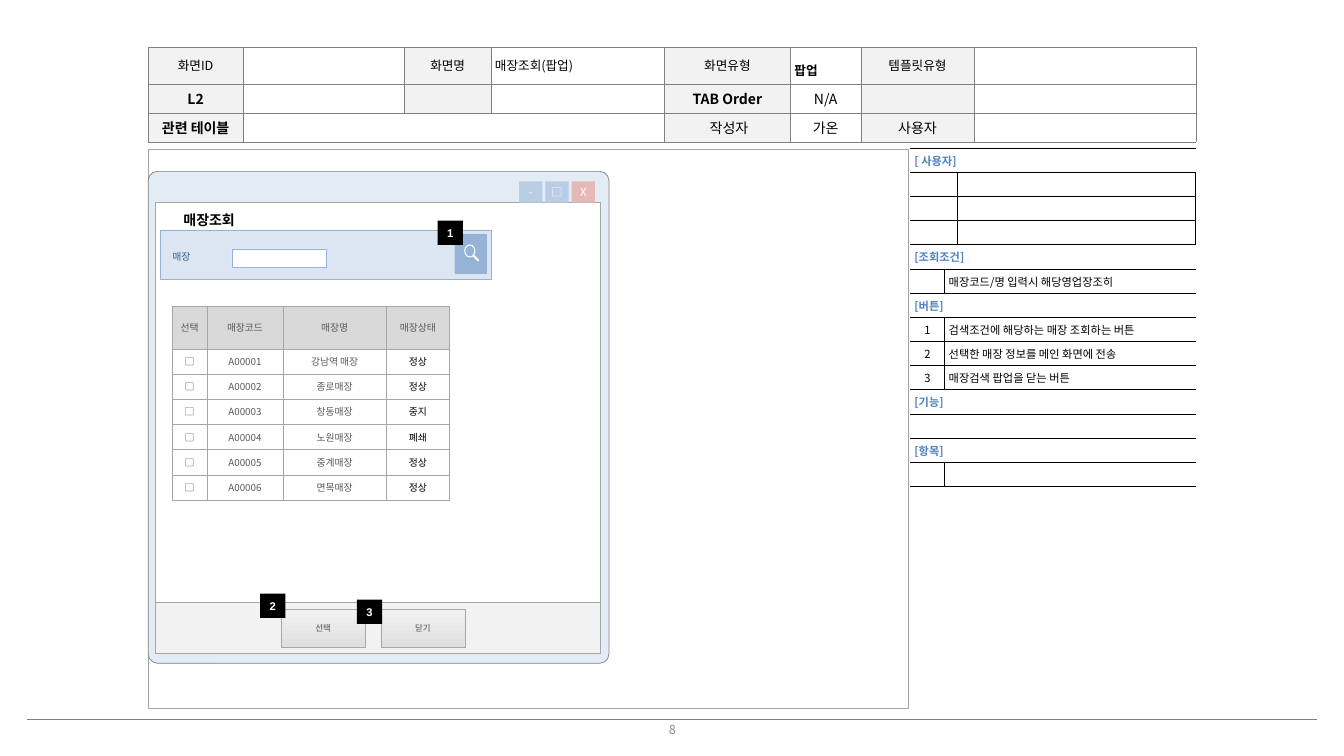
import dataclasses

import pptx
import pptx.dml.color
import pptx.enum.shapes
import pptx.enum.text
import pptx.oxml.ns
import pptx.util
from lxml import etree
from pptx.util import Inches

SHAPES = pptx.enum.shapes.MSO_SHAPE
CENTER = pptx.enum.text.PP_ALIGN.CENTER
LEFT = pptx.enum.text.PP_ALIGN.LEFT
MIDDLE = pptx.enum.text.MSO_ANCHOR.MIDDLE
TOP = pptx.enum.text.MSO_ANCHOR.TOP
PLAIN_TABLE = "{2D5ABB26-0587-4C30-8999-92F81FD0307C}"


@dataclasses.dataclass(frozen=True)
class Theme:
    """Colours, fonts and type sizes of the screen specification."""
    font: str = "Noto Sans CJK KR"
    marker_font: str = "Arial"
    black: str = "000000"
    white: str = "FFFFFF"
    label: str = "F2F2F2"
    frame: str = "808080"
    edge: str = "A6A6A6"
    rule: str = "4F8ABE"
    page: str = "8C8C8C"
    section: str = "4F81BD"
    window: str = "E3EBF5"
    close: str = "E6B9B8"
    control: str = "B9CDE5"
    search: str = "DCE6F2"
    search_edge: str = "95B3D7"
    search_text: str = "376092"
    list_head: str = "D9D9D9"
    list_text: str = "595959"
    shade: str = "DFDFDF"
    large: float = 10
    normal: float = 9
    small: float = 8
    list_size: float = 7
    button: float = 6
    hairline: float = 0.25


THEME = Theme()


def rgb(value):
    """Turn a hex string into a colour."""
    return pptx.dml.color.RGBColor.from_string(value)


def apply(target, formats):
    """Set each named format value on the target."""
    for name, value in formats.items():
        setattr(target, name, value)


def write(frame, text, size, color, bold=False, font=THEME.font, **paragraph_formats):
    """Write one formatted line into a text frame."""
    line = frame.paragraphs[0]
    apply(line, paragraph_formats)
    run = line.add_run()
    apply(run, {"text": text})
    apply(run.font, {"size": pptx.util.Pt(size), "bold": bold, "name": font})
    run.font.color.rgb = rgb(color)
    east_asian = etree.SubElement(run.font._element, pptx.oxml.ns.qn("a:ea"))
    east_asian.set("typeface", font)


def margins(side, end):
    """Give the four margins of a frame or cell."""
    return {"margin_left": Inches(side), "margin_right": Inches(side),
            "margin_top": Inches(end), "margin_bottom": Inches(end)}


def add_box(shapes, box, fill=None, line=None, width=THEME.hairline, kind=SHAPES.RECTANGLE):
    """Add a flat preset shape."""
    shape = shapes.add_shape(kind, *map(Inches, box))
    shape.shadow.inherit = False
    if fill:
        shape.fill.solid()
        shape.fill.fore_color.rgb = rgb(fill)
    else:
        shape.fill.background()
    if line:
        shape.line.color.rgb = rgb(line)
        shape.line.width = pptx.util.Pt(width)
    else:
        shape.line.fill.background()
    return shape


def add_caption(shape, text, size, color, **formats):
    """Centre an unwrapped caption in a shape."""
    apply(shape.text_frame, {"word_wrap": False, "vertical_anchor": MIDDLE, **margins(0, 0)})
    write(shape.text_frame, text, size, color, alignment=CENTER, **formats)


def add_text(shapes, box, text, size, color, **formats):
    """Add a text box without margins."""
    frame = shapes.add_textbox(*map(Inches, box)).text_frame
    apply(frame, {"word_wrap": True, **margins(0, 0)})
    write(frame, text, size, color, **formats)


def add_grid(shapes, left, top, widths, heights):
    """Add an unstyled table with the given columns and rows."""
    grid = shapes.add_table(len(heights), len(widths), Inches(left), Inches(top),
                            Inches(sum(widths)), Inches(sum(heights))).table
    apply(grid, {"first_row": False, "horz_banding": False})
    grid._tbl.tblPr.find(pptx.oxml.ns.qn("a:tableStyleId")).text = PLAIN_TABLE
    for column, width in zip(grid.columns, widths):
        column.width = Inches(width)
    for row, height in zip(grid.rows, heights):
        row.height = Inches(height)
    return grid


def fill_cell(cell, text, size, color, fill, border, width, sides="LRTB",
              anchor=MIDDLE, inset=(0.04, 0.04), **formats):
    """Fill, border and caption one table cell."""
    apply(cell, {"vertical_anchor": anchor, **margins(*inset)})
    properties = cell._tc.get_or_add_tcPr()
    for side in sides:
        edge = etree.SubElement(properties, pptx.oxml.ns.qn(f"a:ln{side}"),
                                w=str(pptx.util.Pt(width)))
        paint = etree.SubElement(edge, pptx.oxml.ns.qn("a:solidFill"))
        etree.SubElement(paint, pptx.oxml.ns.qn("a:srgbClr"), val=border)
    cell.fill.solid()
    cell.fill.fore_color.rgb = rgb(fill)
    if text:
        write(cell.text_frame, text, size, color, **formats)
    else:
        ending = cell.text_frame.paragraphs[0]._p.get_or_add_endParaRPr()
        ending.set("sz", str(int(size * 100)))


def add_header(shapes):
    """Add the screen identification table."""
    header = add_grid(shapes, 1.47, 0.47, [0.94, 1.6, 0.86, 1.72, 1.25, 0.7, 1.12, 2.2],
                      [0.36, 0.29, 0.29])
    rows = [["화면ID", "", "화면명", "매장조회(팝업)", "화면유형", "팝업", "템플릿유형", ""],
            ["L2", "", "", "", "TAB Order", "N/A", "", ""],
            ["관련 테이블", "", "", "", " 작성자", "가온", "사용자", ""]]
    header.cell(2, 1).merge(header.cell(2, 3))
    for r, row in enumerate(rows):
        for c, text in enumerate(row):
            is_label = c % 2 == 0 and not (r == 2 and c == 2)
            formats = {"alignment": LEFT if r == 0 and c in (3, 5) else CENTER}
            if text == "팝업":
                formats["line_spacing"] = 1.5
            fill_cell(header.cell(r, c), text, THEME.large if r else THEME.normal, THEME.black,
                      THEME.label if is_label else THEME.white, THEME.frame, THEME.hairline,
                      inset=(0.04, 0.04 if r == 0 else 0),
                      bold=text in ("팝업", "L2", "TAB Order", "관련 테이블"), **formats)


def add_legend(shapes):
    """Add the side table that describes users, conditions and buttons."""
    rows = [("[ 사용자]",), ("", "", 1), ("", "", 1), ("", "", 1),
            ("[조회조건]",), ("", "매장코드/명 입력시 해당영업장조히", 0),
            ("[버튼]",), ("1", "검색조건에 해당하는 매장 조회하는 버튼", 0),
            ("2", "선택한 매장 정보를 메인 화면에 전송", 0), ("3", "매장검색 팝업을 닫는 버튼", 0),
            ("[기능]",), ("",), ("[항목]",), ("", "", 0)]
    legend = add_grid(shapes, 9.03, 1.47, [0.34, 0.13, 2.36], [0.24] * len(rows))
    for r, (key, *detail) in enumerate(rows):
        description, key_end = detail or ("", 2)
        legend.cell(r, 0).merge(legend.cell(r, key_end))
        if key_end == 0:
            legend.cell(r, 1).merge(legend.cell(r, 2))
        for c in range(3):
            text = key if c == 0 else description if c == key_end + 1 else ""
            is_section = c == 0 and not detail
            fill_cell(legend.cell(r, c), text, THEME.small,
                      THEME.section if is_section else THEME.black, THEME.white,
                      THEME.black, 0.75, "LTB" if c == key_end + 1 else "TB", TOP,
                      bold=is_section, alignment=CENTER if c == 0 and detail else LEFT)


def add_window(shapes):
    """Add the popup window with its controls and buttons."""
    window = add_box(shapes, (1.47, 1.7, 4.57, 4.88), THEME.window, THEME.frame, 0.5,
                     SHAPES.ROUNDED_RECTANGLE)
    window.adjustments[0] = 0.02
    add_box(shapes, (1.54, 2.01, 4.41, 4.47), THEME.white, THEME.edge)
    add_box(shapes, (1.54, 5.97, 4.41, 0.51), THEME.label, THEME.edge)
    controls = [("-", THEME.control), ("□", THEME.control), ("X", THEME.close)]
    for i, (symbol, color) in enumerate(controls):
        control = add_box(shapes, (5.15 + 0.26 * i, 1.8, 0.23, 0.21), color)
        add_caption(control, symbol, THEME.small, THEME.white)
    for left, caption in ((3.78, "닫기"), (2.79, "선택")):
        button = add_box(shapes, (left, 6.04, 0.83, 0.38), THEME.label, THEME.edge)
        button.fill.gradient()
        button.fill.gradient_angle = 90
        for stop, color in zip(button.fill.gradient_stops, (THEME.shade, THEME.label)):
            stop.color.rgb = rgb(color)
        add_caption(button, caption, THEME.button, THEME.frame, bold=True)


def add_search_button(shapes):
    """Add the button with a magnifier."""
    add_box(shapes, (4.51, 2.32, 0.31, 0.39), THEME.search_edge, THEME.search_edge)
    handle = add_box(shapes, (4.68, 2.55, 0.08, 0.02), THEME.white,
                     kind=SHAPES.ROUNDED_RECTANGLE)
    handle.adjustments[0] = 0.5
    handle.rotation = 45
    add_box(shapes, (4.61, 2.43, 0.1, 0.12), line=THEME.white, width=0.75, kind=SHAPES.OVAL)


def add_store_list(shapes):
    """Add the table of stores found."""
    stores = [("강남역 매장", "정상"), ("종로매장", "정상"), ("창동매장", "중지"),
              ("노원매장", "폐쇄"), ("중계매장", "정상"), ("면목매장", "정상")]
    rows = [("선택", "매장코드", "매장명", "매장상태")]
    rows += [("□", f"A{i:05}", *store) for i, store in enumerate(stores, 1)]
    listing = add_grid(shapes, 1.71, 3.04, [0.34, 0.76, 1.02, 0.63], [0.42] + [0.25] * len(stores))
    for r, row in enumerate(rows):
        for c, text in enumerate(row):
            fill_cell(listing.cell(r, c), text, THEME.list_size,
                      THEME.black if r and c == 3 else THEME.list_text,
                      THEME.white if r else THEME.list_head, THEME.edge, THEME.hairline,
                      inset=(0, 0), alignment=CENTER)


def add_footer(shapes):
    """Add the bottom rule and page number."""
    rule = shapes.add_connector(pptx.enum.shapes.MSO_CONNECTOR.STRAIGHT,
                                *map(Inches, (0.27, 7.14, 13.06, 7.14)))
    rule.line.color.rgb = rgb(THEME.rule)
    rule.line.color.rgb = rgb(THEME.frame)
    rule.line.width = pptx.util.Pt(1)
    etree.SubElement(rule._element.spPr, pptx.oxml.ns.qn("a:effectLst"))
    add_text(shapes, (6.25, 7.16, 0.84, 0.21), "8", THEME.normal, THEME.page, alignment=CENTER)


def main():
    """Build the store search popup specification."""
    deck = pptx.Presentation()
    apply(deck, {"slide_width": Inches(13.33), "slide_height": Inches(7.5)})
    shapes = deck.slides.add_slide(deck.slide_layouts[6]).shapes
    add_footer(shapes)
    add_box(shapes, (1.47, 1.48, 7.54, 5.55), line=THEME.edge)
    add_header(shapes)
    add_legend(shapes)
    add_window(shapes.add_group_shape().shapes)
    add_box(shapes, (1.59, 2.28, 3.28, 0.49), THEME.search, THEME.search_edge)
    add_store_list(shapes)
    add_search_button(shapes.add_group_shape().shapes)
    add_text(shapes, (1.71, 2.49, 0.82, 0.12), "매장", THEME.list_size, THEME.search_text)
    add_box(shapes, (2.3, 2.47, 0.94, 0.18), THEME.white, THEME.search_edge)
    for number, (left, top) in enumerate([(4.34, 2.19), (2.58, 5.89), (3.54, 5.95)], 1):
        marker = add_box(shapes, (left, top, 0.25, 0.24), THEME.black)
        add_caption(marker, str(number), THEME.small, THEME.white, bold=True,
                    font=THEME.marker_font)
    add_text(shapes, (1.82, 2.1, 0.76, 0.17), "매장조회", THEME.large, THEME.black, bold=True)
    deck.save("out.pptx")


if __name__ == "__main__":
    main()
